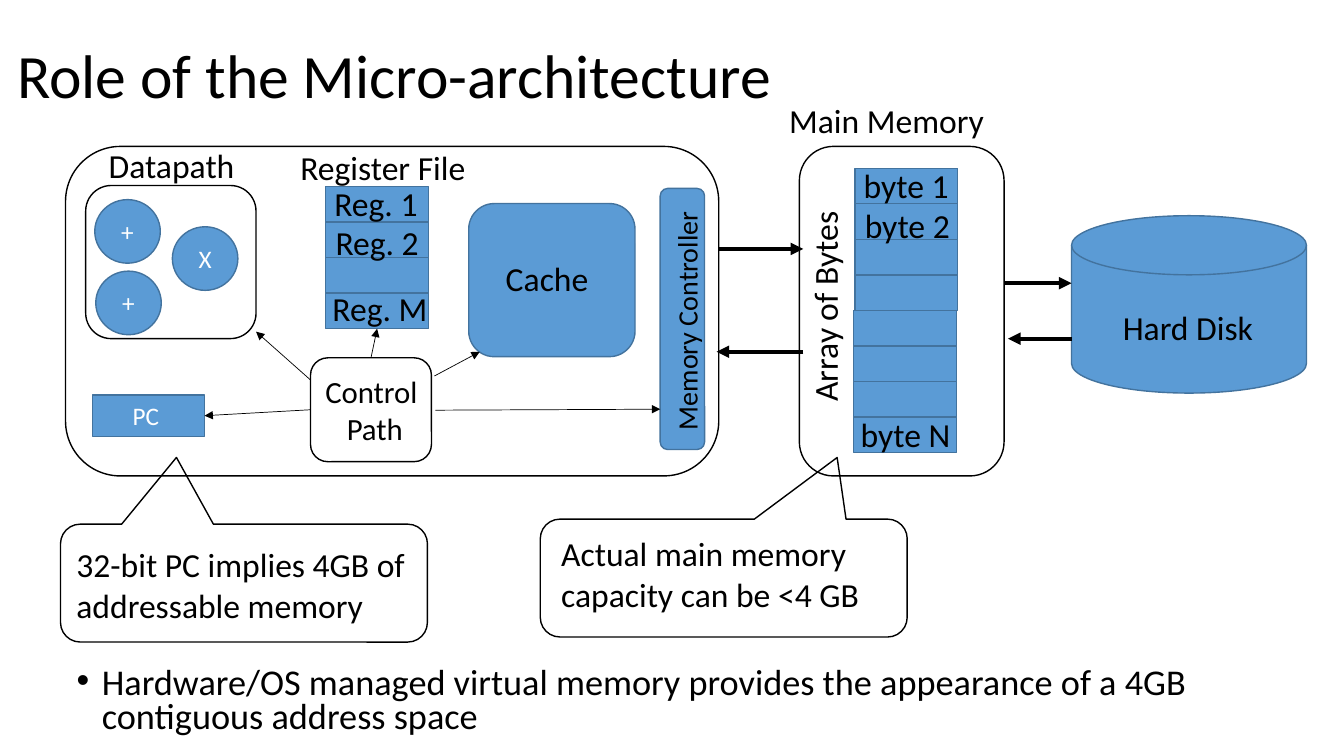
from lxml import etree
from pptx import Presentation
from pptx import util as u
from pptx.dml.color import RGBColor
from pptx.enum import shapes, text
from pptx.oxml.ns import qn

BLACK = RGBColor(0, 0, 0)
WHITE = RGBColor(255, 255, 255)
BLUE = RGBColor(0x5B, 0x9B, 0xD5)
EDGE = RGBColor(0x43, 0x73, 0x9E)
KIND = shapes.MSO_SHAPE
ALIGN = text.PP_ALIGN
ANCHOR = text.MSO_ANCHOR


class Deck:
    font = "Calibri"

    def __init__(self, width, height):
        self.prs = Presentation()
        self.prs.slide_width, self.prs.slide_height = u.Pt(width), u.Pt(height)
        self.slide = self.prs.slides.add_slide(self.prs.slide_layouts[1])

    def apply(self, obj, values):
        for name, value in values.items():
            setattr(obj, name, value)

    def fill_text(self, sp, words, size, color=BLACK, frame=None, para=None):
        tf = sp.text_frame
        self.apply(tf, frame or {})
        for i, line in enumerate(words.split("\n")):
            p = tf.paragraphs[0] if i == 0 else tf.add_paragraph()
            self.apply(p, para or {})
            r = p.add_run()
            r.text = line
            self.apply(r.font, {"name": self.font, "size": u.Pt(size)})
            r.font.color.rgb = color

    def place(self, sp, box):
        names = ("left", "top", "width", "height")
        self.apply(sp, dict(zip(names, map(u.Pt, box))))

    def title(self, words, box):
        sp = self.slide.shapes.title
        self.place(sp, box)
        self.fill_text(sp, words, 44,
                       frame={"vertical_anchor": ANCHOR.MIDDLE, "word_wrap": True,
                              "auto_size": text.MSO_AUTO_SIZE.NONE},
                       para={"alignment": ALIGN.LEFT, "line_spacing": 0.9})

    def bullet(self, words, box):
        sp = self.slide.placeholders[1]
        self.place(sp, box)
        self.fill_text(sp, words, 25.9,
                       frame={"word_wrap": True, "vertical_anchor": ANCHOR.TOP,
                              "auto_size": text.MSO_AUTO_SIZE.NONE},
                       para={"line_spacing": 0.8, "space_before": u.Pt(10)})
        pPr = sp.text_frame.paragraphs[0]._p.get_or_add_pPr()
        pPr.set("marL", str(u.Pt(18)))
        pPr.set("indent", str(u.Pt(-18)))
        etree.SubElement(pPr, qn("a:buFont")).set("typeface", "Arial")
        etree.SubElement(pPr, qn("a:buChar")).set("char", "•")

    def shape(self, kind, box, fill=None, words="", rotation=0, adj=()):
        sp = self.slide.shapes.add_shape(kind, *map(u.Pt, box))
        sp.shadow.inherit = False
        sp.rotation = rotation
        for i, value in enumerate(adj):
            sp.adjustments[i] = value
        if fill is None:
            sp.fill.background()
        else:
            sp.fill.solid()
            sp.fill.fore_color.rgb = fill
        sp.line.color.rgb = EDGE if fill is not None else BLACK
        sp.line.width = u.Pt(1)
        if words:
            self.fill_text(sp, words, 18, WHITE,
                           {"vertical_anchor": ANCHOR.MIDDLE},
                           {"alignment": ALIGN.CENTER})
        return sp

    def label(self, words, box, size=24, rotation=0, wrap=False, align=ALIGN.LEFT):
        sp = self.slide.shapes.add_textbox(*map(u.Pt, box))
        sp.rotation = rotation
        self.fill_text(sp, words, size,
                       frame={"word_wrap": wrap,
                              "auto_size": text.MSO_AUTO_SIZE.SHAPE_TO_FIT_TEXT},
                       para={"alignment": align})

    def cells(self, left, top, count):
        size = (73.6, 25.4)
        return [self.shape(KIND.RECTANGLE, (left, top + i * size[1], *size), BLUE)
                for i in range(count)]

    def arrow(self, start, end, width=0.5, begin=None, finish=None):
        cn = self.slide.shapes.add_connector(
            shapes.MSO_CONNECTOR.STRAIGHT, *map(u.Pt, (*start, *end)))
        cn.line.color.rgb = BLACK
        cn.line.width = u.Pt(width)
        spPr = cn._element.spPr
        etree.SubElement(spPr.get_or_add_ln(), qn("a:tailEnd")).set("type", "triangle")
        etree.SubElement(spPr, qn("a:effectLst"))
        if begin:
            cn.begin_connect(*begin)
        if finish:
            cn.end_connect(*finish)


def main():
    d = Deck(960, 540)
    d.title("Role of the Micro-architecture", (5, 3.6, 828, 104.4))
    d.bullet("Hardware/OS managed virtual memory provides the appearance of a 4GB "
             "contiguous address space", (47.5, 473, 828, 58.3))

    d.shape(KIND.ROUNDED_RECTANGLE, (46.8, 104.6, 466.6, 235.4))
    d.shape(KIND.ROUNDED_RECTANGLE, (571, 104.6, 146.2, 235.4))
    d.shape(KIND.ROUNDED_RECTANGLE, (61.2, 132.5, 121.7, 109.4))
    control = d.shape(KIND.ROUNDED_RECTANGLE, (221.8, 255.6, 86.4, 74.2))
    pc = d.shape(KIND.RECTANGLE, (66.2, 282.2, 79.9, 29.5), BLUE, "PC ")
    d.shape(KIND.ROUNDED_RECTANGLE, (471.6, 134.6, 31.7, 186.5), BLUE)
    d.shape(KIND.ROUNDED_RECTANGLE, (334.8, 145.4, 118.8, 109.4), BLUE)
    d.shape(KIND.FLOWCHART_MAGNETIC_DISK, (765.4, 154.1, 167.8, 126.7), BLUE)
    for words, left, top in (("+", 67.7, 142.6), ("X", 123.1, 162), ("+", 68.4, 193.7)):
        d.shape(KIND.OVAL, (left, top, 46.8, 45.4), BLUE, words)

    registers = d.cells(232.6, 133.2, 4)
    d.cells(610.6, 120.2, 4)
    d.cells(609.8, 221.8, 4)

    for words, left, top, width in (
            ("Datapath", 70.6, 100.1, 105.1),
            ("Main Memory", 556.6, 67.7, 160.6),
            ("Register File", 207.4, 101.5, 133.9),
            ("Reg. 1", 231.8, 127.4, 74.2),
            ("Reg. 2", 232.6, 154.8, 74.2),
            ("Reg. M", 230.4, 202.3, 82.8),
            ("byte 1", 609.8, 114.5, 75.6),
            ("byte 2", 610.6, 142.6, 75.6),
            ("byte N", 607.7, 292.3, 79.2),
            ("Cache", 354.2, 180.7, 74.2),
            ("Hard Disk", 794.9, 216, 108.7)):
        d.label(words, (left, top, width, 36))
    d.label("Control \nPath", (224.6, 262.8, 86.4, 60.5), 22, align=ALIGN.CENTER)
    d.label("Memory Controller", (404.6, 212.4, 172.1, 31.7), 20, rotation=270)
    d.label("Array of Bytes", (513.4, 200.2, 151.2, 36), rotation=270)

    for start, end in (((513.4, 177.8), (573.8, 177.8)),
                       ((573.8, 251.3), (511.9, 251.3)),
                       ((717.1, 202.3), (765.4, 202.3)),
                       ((765.4, 241.9), (720, 241.9))):
        d.arrow(start, end, 3)
    d.arrow((221.8, 292.7), (146.1, 297), begin=(control, 1), finish=(pc, 3))
    d.arrow((265, 255.6), (269.4, 234.8), begin=(control, 0), finish=(registers[-1], 2))
    d.arrow((221.8, 271.4), (182.9, 236.9))
    d.arrow((310.3, 268.6), (342.7, 251.3))
    d.arrow((311, 293), (471.6, 292.3))

    for words, words_at, box, tip in (
            ("32-bit PC implies 4GB of addressable memory", (47.5, 385.2),
             (43.2, 374.4, 262.1, 84.2), (0.184, 1.066)),
            ("Actual main memory capacity can be <4 GB", (393.8, 377.3),
             (385.9, 370.8, 262.1, 84.2), (-0.309, 1.023))):
        d.shape(KIND.ROUNDED_RECTANGULAR_CALLOUT, box, rotation=180, adj=(*tip, 0.167))
        d.label(words, (*words_at, 256.3, 65.5), wrap=True)

    d.prs.save("out.pptx")


if __name__ == "__main__":
    main()
